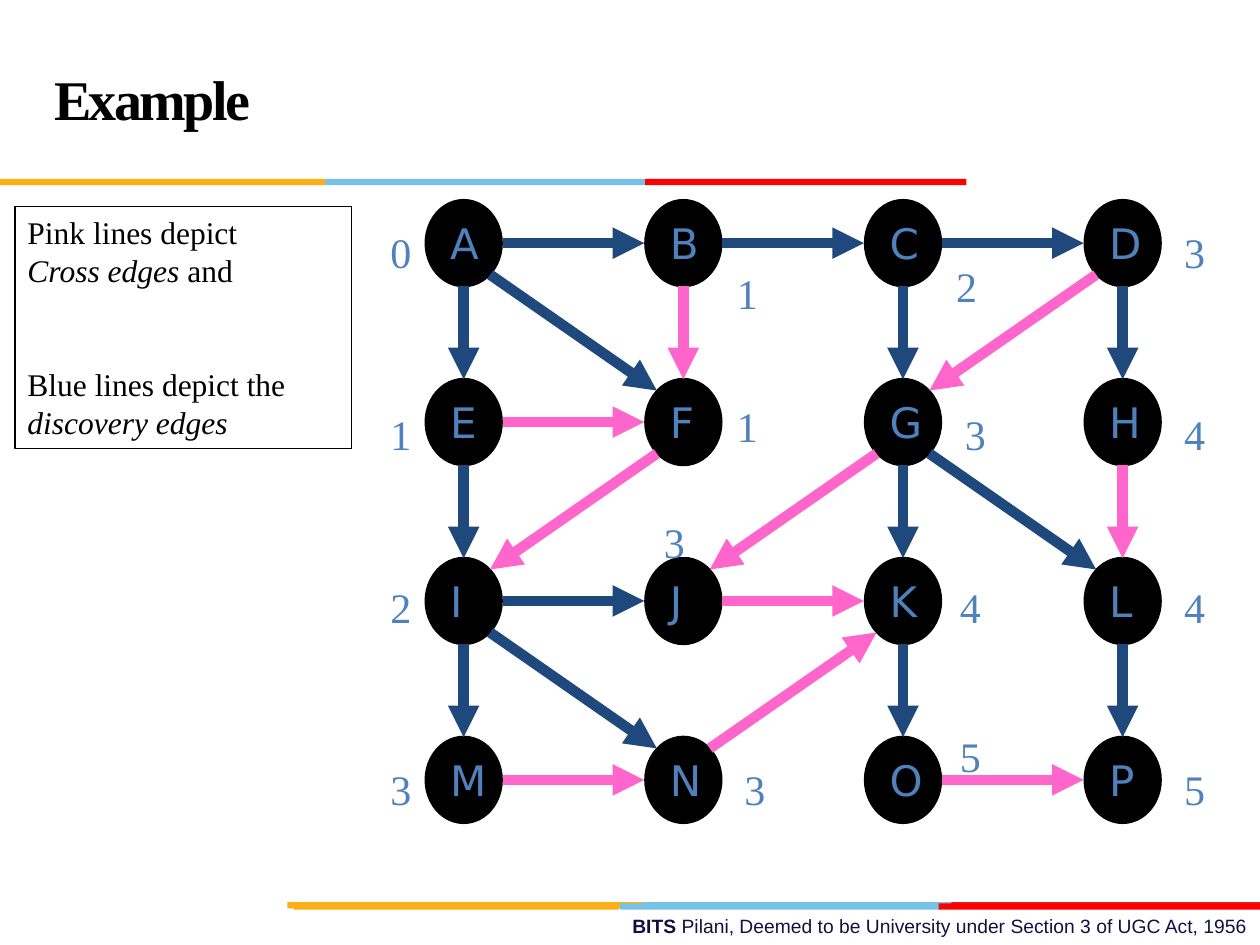
from dataclasses import dataclass
from typing import NamedTuple

from lxml import etree
from pptx import Presentation
from pptx.dml.color import RGBColor
from pptx.enum.shapes import MSO_CONNECTOR, MSO_SHAPE
from pptx.enum.text import MSO_ANCHOR, MSO_AUTO_SIZE, PP_ALIGN
from pptx.oxml.ns import qn
from pptx.util import Inches, Pt


@dataclass(frozen=True)
class Theme:
    black: str = "000000"
    white: str = "FFFFFF"
    label: str = "4F81BD"
    discovery: str = "1F497D"
    cross: str = "FF66CC"
    footer: str = "101141"
    gold: str = "FCB017"
    sky: str = "76C2E5"
    crimson: str = "E31C24"
    red: str = "FF0000"
    serif: str = "Times New Roman"
    node_font: str = "DejaVu Sans"
    sans: str = "Arial"
    title_size: float = 32
    graph_size: float = 24
    note_size: float = 18
    footer_size: float = 11


class Run(NamedTuple):
    text: str
    bold: bool = False
    italic: bool = False


class Bar(NamedTuple):
    left: float
    top: float
    width: float
    color: str


class Distance(NamedTuple):
    value: int
    left: float
    top: float


class Edge(NamedTuple):
    start: str
    end: str
    color: str


THEME = Theme()
BAR_HEIGHT = 0.05
BARS = [
    Bar(5.06, 7.16, 2.55, THEME.sky), Bar(7.55, 7.16, 2.45, THEME.crimson),
    Bar(2.28, 7.16, 2.82, THEME.gold),
    Bar(4.92, 7.17, 2.55, THEME.sky), Bar(2.33, 7.17, 2.58, THEME.gold),
    Bar(7.45, 7.17, 2.55, THEME.red),
    Bar(2.58, 1.42, 2.55, THEME.sky), Bar(0, 1.42, 2.58, THEME.gold),
    Bar(5.12, 1.42, 2.55, THEME.red),
]

NODE_ROWS = ["ABCD", "EFGH", "IJKL", "MNOP"]
NODE_WIDTH, NODE_HEIGHT = 0.58, 0.66
FIRST_X, LAST_X = 3.68, 8.91
FIRST_Y, ROW_PITCH = 1.93, 1.42
COLUMN_PITCH = (LAST_X - FIRST_X) / 3
CENTERS = {
    letter: (FIRST_X + column * COLUMN_PITCH, FIRST_Y + row * ROW_PITCH)
    for row, letters in enumerate(NODE_ROWS)
    for column, letter in enumerate(letters)
}
STRAIGHT_REACH = (0.31, 0.34)
DIAGONAL_REACH = (0.21, 0.25)

DISCOVERY_EDGES = "AF CD IJ BC AB GL IN IM EI AE DH CG GK KO LP"
CROSS_EDGES = "DG FI GJ EF JK OP MN BF NK HL"
EDGES = [
    Edge(pair[0], pair[1], color)
    for pairs, color in ((DISCOVERY_EDGES, THEME.discovery), (CROSS_EDGES, THEME.cross))
    for pair in pairs.split()
]

DISTANCES = [
    Distance(0, 3, 1.73), Distance(1, 3, 3.18), Distance(2, 3, 4.55), Distance(3, 3, 5.99),
    Distance(1, 5.75, 2.06), Distance(1, 5.75, 3.11),
    Distance(3, 5.17, 4.03), Distance(3, 5.81, 5.99),
    Distance(2, 7.49, 2), Distance(3, 7.56, 3.18),
    Distance(4, 7.52, 4.55), Distance(5, 7.52, 5.73),
    Distance(3, 9.3, 1.73), Distance(4, 9.3, 3.18),
    Distance(4, 9.3, 4.55), Distance(5, 9.3, 5.99),
]


def rgb(color: str) -> RGBColor:
    return RGBColor.from_string(color)


def write(shape, *paragraphs: list[Run], font: str, size: float, color: str,
          align=PP_ALIGN.LEFT, anchor=MSO_ANCHOR.TOP, wrap: bool = True,
          line_height: float | None = None, gap: float = 0, tracking: float = 0) -> None:
    """Fill a shape with paragraphs; gap is the space between them by index, in points."""
    frame = shape.text_frame
    frame.auto_size = MSO_AUTO_SIZE.NONE
    frame.word_wrap = wrap
    frame.vertical_anchor = anchor
    for index, runs in enumerate(paragraphs):
        paragraph = frame.add_paragraph() if index else frame.paragraphs[0]
        paragraph.alignment = align
        paragraph.space_before = Pt(gap if index else 0)
        if line_height:
            paragraph.line_spacing = Pt(line_height)
        for part in runs:
            run = paragraph.add_run()
            run.text = part.text
            run.font.name, run.font.size = font, Pt(size)
            run.font.bold, run.font.italic = part.bold, part.italic
            run.font.color.rgb = rgb(color)
            if tracking:
                run.font._element.set("spc", str(int(tracking * 100)))


def add_box(slide, kind, left: float, top: float, width: float, height: float,
            fill: str | None = None, line: str | None = None, line_width: float = 0.75):
    box = slide.shapes.add_shape(kind, Inches(left), Inches(top), Inches(width), Inches(height))
    box.shadow.inherit = False
    if fill:
        box.fill.solid()
        box.fill.fore_color.rgb = rgb(fill)
    else:
        box.fill.background()
    if line:
        box.line.color.rgb = rgb(line)
        box.line.width = Pt(line_width)
    else:
        box.line.fill.background()
    return box


def add_node(slide, letter: str) -> None:
    x, y = CENTERS[letter]
    node = add_box(slide, MSO_SHAPE.OVAL, x - NODE_WIDTH / 2, y - NODE_HEIGHT / 2,
                   NODE_WIDTH, NODE_HEIGHT, THEME.black, THEME.black, 3)
    write(node, [Run(letter)], font=THEME.node_font, size=THEME.graph_size,
          color=THEME.label, anchor=MSO_ANCHOR.MIDDLE, wrap=False)


def add_edge(slide, edge: Edge) -> None:
    """Draw an arrow from the rim of one node to the rim of another."""
    (x1, y1), (x2, y2) = CENTERS[edge.start], CENTERS[edge.end]
    step_x, step_y = (x2 > x1) - (x2 < x1), (y2 > y1) - (y2 < y1)
    reach_x, reach_y = DIAGONAL_REACH if step_x and step_y else STRAIGHT_REACH
    dx, dy = step_x * reach_x, step_y * reach_y
    arrow = slide.shapes.add_connector(MSO_CONNECTOR.STRAIGHT, Inches(x1 + dx), Inches(y1 + dy),
                                       Inches(x2 - dx), Inches(y2 - dy))
    arrow.line.color.rgb = rgb(edge.color)
    arrow.line.width = Pt(6)
    etree.SubElement(arrow.line._get_or_add_ln(), qn("a:tailEnd"), type="triangle")
    etree.SubElement(arrow._element.spPr, qn("a:effectLst"))


def add_distance(slide, distance: Distance) -> None:
    label = add_box(slide, MSO_SHAPE.RECTANGLE, distance.left, distance.top, 0.28, 0.39, THEME.white)
    write(label, [Run(str(distance.value))], font=THEME.serif, size=THEME.graph_size,
          color=THEME.label, wrap=False, line_height=30)


def main() -> None:
    deck = Presentation()
    deck.slide_width, deck.slide_height = Inches(10), Inches(7.5)
    slide = deck.slides.add_slide(deck.slide_layouts[5])

    title = slide.shapes.title
    title.left, title.top, title.width, title.height = map(Inches, (0.33, 0.17, 7.92, 1.25))
    write(title, [Run("Example", bold=True)], font=THEME.serif, size=THEME.title_size,
          color=THEME.black, anchor=MSO_ANCHOR.MIDDLE, line_height=36, tracking=-1.5)

    footer = slide.shapes.add_textbox(Inches(3.58), Inches(7.21), Inches(6.42), Inches(0.29))
    write(footer, [Run("BITS ", bold=True),
                   Run("Pilani, Deemed to be University under Section 3 of UGC Act, 1956")],
          font=THEME.sans, size=THEME.footer_size, color=THEME.footer, align=PP_ALIGN.RIGHT)

    for bar in BARS:
        add_box(slide, MSO_SHAPE.RECTANGLE, bar.left, bar.top, bar.width, BAR_HEIGHT, bar.color)
    for letter in CENTERS:
        add_node(slide, letter)
    for edge in EDGES:
        add_edge(slide, edge)
    for distance in DISTANCES:
        add_distance(slide, distance)

    legend = add_box(slide, MSO_SHAPE.RECTANGLE, 0.12, 1.64, 2.67, 1.92, line=THEME.black)
    write(legend, [Run("Pink lines depict")], [Run("Cross edges ", italic=True), Run("and")],
          [Run("Blue lines depict the "), Run("discovery edges", italic=True)],
          font=THEME.serif, size=THEME.note_size, color=THEME.black, line_height=21.7)
    legend.text_frame.paragraphs[-1].space_before = Pt(43.4)

    deck.save("out.pptx")


if __name__ == "__main__":
    main()
